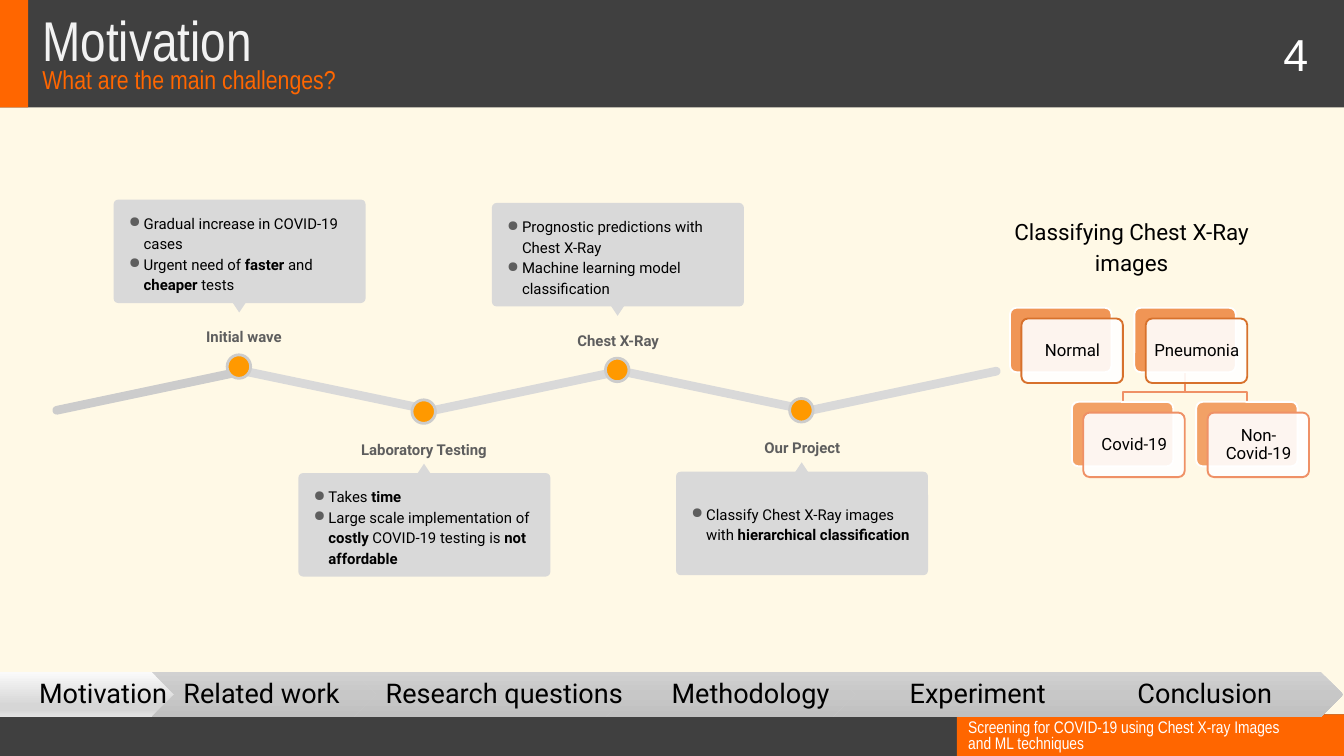
from lxml import etree
from pptx import Presentation
from pptx.dml.color import RGBColor
from pptx.enum.shapes import MSO_SHAPE
from pptx.enum.text import MSO_ANCHOR, MSO_AUTO_SIZE, PP_ALIGN
from pptx.oxml.ns import qn
from pptx.util import Inches, Pt

RECT, ROUND = MSO_SHAPE.RECTANGLE, MSO_SHAPE.ROUNDED_RECTANGLE
OVAL, TRIANGLE = MSO_SHAPE.OVAL, MSO_SHAPE.ISOSCELES_TRIANGLE
PENTAGON, CHEVRON = MSO_SHAPE.PENTAGON, MSO_SHAPE.CHEVRON
LEFT, CENTER = PP_ALIGN.LEFT, PP_ALIGN.CENTER
TOP, MIDDLE = MSO_ANCHOR.TOP, MSO_ANCHOR.MIDDLE

COLORS = {
    "cream": "FFF9E6", "dark": "404040", "orange": "FF6600", "title": "F2F2F2",
    "white": "FFFFFF", "black": "000000", "label": "5E5E5E", "card": "D9D9D9",
    "rod": "CCCCCC", "dot": "FF9900", "node": "ED7D31", "parent": "D7712C",
    "child": "EF9166",
}
ACTIVE_STOPS = [(0, "FAFAFA"), (74, "D6D6D6"), (83, "D6D6D6"), (100, "E3E3E3")]
STEP_STOPS = [(0, "D1D1D1"), (50, "C7C7C7"), (100, "C0C0C0")]

STEPS = [
    ("Motivation", -0.51, 3.62, 0, 2.94, CENTER),
    ("Related work", 2.26, 4.22, 2.6, 3.55, LEFT),
    ("Research questions", 5.27, 4.22, 5.61, 3.89, LEFT),
    ("Methodology", 9.02, 4.22, 9.35, 3.55, CENTER),
    ("Experiment", 12.4, 4.22, 12.73, 3.55, CENTER),
    ("Conclusion", 15.77, 4.22, 16.11, 3.55, CENTER),
]
MILESTONES = [
    ("Initial wave", 3.56, 3.63, 2.97, True, TOP,
     ["Gradual increase in COVID-19 cases",
      "Urgent need of **faster** and **cheaper** tests"]),
    ("Laboratory Testing", 6.31, 6.31, 7.04, False, TOP,
     ["Takes **time**",
      "Large scale implementation of **costly** COVID-19 testing is **not affordable**"]),
    ("Chest X-Ray", 9.19, 9.2, 3.02, True, TOP,
     ["Prognostic predictions with Chest X-Ray",
      "Machine learning model classification"]),
    ("Our Project", 11.93, 11.94, 7.02, False, MIDDLE,
     ["Classify Chest X-Ray images with **hierarchical classification**"]),
]
NODES = [
    ("Normal", 15.03, 4.58, 80, "parent"),
    ("Pneumonia", 16.88, 4.58, 80, "parent"),
    ("Covid-19", 15.95, 5.98, 70, "child"),
    ("Non-Covid-19", 17.8, 5.98, 70, "child"),
]


def rgb(name):
    return RGBColor.from_string(COLORS[name])


def add_box(shapes, kind, x, y, w, h, fill=None, line=None, width=2,
            adj=None, rotation=0, alpha=None):
    sp = shapes.add_shape(kind, Inches(x), Inches(y), Inches(w), Inches(h))
    sp.shadow.inherit = False
    sp.rotation = rotation
    if adj is not None:
        sp.adjustments[0] = adj
    if fill:
        sp.fill.solid()
        sp.fill.fore_color.rgb = rgb(fill)
    if alpha:
        clr = sp._element.spPr.find(f"{qn('a:solidFill')}/{qn('a:srgbClr')}")
        etree.SubElement(clr, qn("a:alpha"), val=str(alpha * 1000))
    if line:
        sp.line.color.rgb = rgb(line)
        sp.line.width = Pt(width)
    else:
        sp.line.fill.background()
    return sp


def set_gradient(sp, stops):
    sp.fill.gradient()
    grad = sp._element.spPr.find(qn("a:gradFill"))
    for child in list(grad):
        grad.remove(child)
    gs_list = etree.SubElement(grad, qn("a:gsLst"))
    for pos, color in stops:
        gs = etree.SubElement(gs_list, qn("a:gs"), pos=str(pos * 1000))
        etree.SubElement(gs, qn("a:srgbClr"), val=color)
    etree.SubElement(grad, qn("a:lin"), ang="5400000", scaled="0")


def set_bullet(p):
    pPr = p._p.get_or_add_pPr()
    pPr.set("marL", str(Inches(0.26)))
    pPr.set("indent", str(Inches(-0.22)))
    clr = etree.SubElement(pPr, qn("a:buClr"))
    etree.SubElement(clr, qn("a:srgbClr"), val=COLORS["label"])
    etree.SubElement(pPr, qn("a:buChar"), char="●")


def write_text(sp, lines, size=16, font="Roboto", color="black", bold=False,
               align=LEFT, anchor=TOP, spacing=1.0, insets=(0.1, 0.05, 0.1, 0.05),
               bullets=False, wrap=True):
    tf = sp.text_frame
    tf.word_wrap = wrap
    tf.auto_size = MSO_AUTO_SIZE.NONE
    tf.vertical_anchor = anchor
    tf.margin_left, tf.margin_top, tf.margin_right, tf.margin_bottom = map(Inches, insets)
    for i, line in enumerate(lines):
        p = tf.add_paragraph() if i else tf.paragraphs[0]
        p.alignment = align
        p.line_spacing = spacing
        p.space_before = Pt(0)
        if bullets:
            set_bullet(p)
        for j, part in enumerate(line.split("**")):
            if part:
                r = p.add_run()
                r.text = part
                r.font.name = font
                r.font.size = Pt(size)
                r.font.bold = bold or j % 2 == 1
                r.font.color.rgb = rgb(color)


def add_text(shapes, text, x, y, w, h, **fmt):
    sp = shapes.add_textbox(Inches(x), Inches(y), Inches(w), Inches(h))
    write_text(sp, [text] if isinstance(text, str) else text, **fmt)


def fill_placeholder(sp, text, x, y, w, h, **fmt):
    sp.left, sp.top, sp.width, sp.height = map(Inches, (x, y, w, h))
    write_text(sp, [text], font="Arial Narrow", **fmt)
    sp._element.getparent().append(sp._element)


def add_frame(s):
    add_box(s.shapes, RECT, 0, 10.63, 20, 0.62, "dark")
    add_box(s.shapes, RECT, 14.24, 10.63, 5.76, 0.62, "orange")
    add_box(s.shapes, RECT, 0, 0, 20, 1.6, "dark")
    add_box(s.shapes, RECT, 0, 0, 0.42, 1.6, "orange")
    title, subtitle = s.placeholders
    fill_placeholder(title, "Motivation", 0.53, 0.14, 19.3, 0.84,
                     size=60, color="title", spacing=0.9)
    fill_placeholder(subtitle, "What are the main challenges?", 0.53, 0.99, 19.3, 0.49,
                     size=27.8, color="orange", spacing=0.8)
    add_text(s.shapes, "Screening for COVID-19 using Chest X-ray Images and ML techniques",
             14.31, 10.67, 4.94, 0.59, size=18, font="Arial Narrow", color="white", spacing=0.8)
    add_text(s.shapes, "4", 19, 0.35, 0.58, 0.91, size=48, font="Arial",
             color="white", wrap=False)


def add_steps(shapes):
    for i, (name, x, w, text_x, text_w, align) in enumerate(STEPS):
        sp = add_box(shapes, CHEVRON if i else PENTAGON, x, 10, w, 0.67, adj=0.5)
        set_gradient(sp, STEP_STOPS if i else ACTIVE_STOPS)
        add_text(shapes, name, text_x, 10, text_w, 0.67, size=29, align=align,
                 anchor=MIDDLE, spacing=0.9,
                 insets=(0.13 if i else 0.17, 0.08, 0.04, 0.08))


def add_rods(shapes):
    for i in range(5):
        add_box(shapes, ROUND, 0.75 + 2.805 * i, 5.75, 2.95, 0.13,
                "card" if i else "rod", adj=0.5, rotation=11.8 if i % 2 else 348.1)


def add_milestone(shapes, label, x, label_x, y, above, anchor, lines):
    dot_y, label_y, tip_y = (2.31, 1.67, 1.53) if above else (-1.09, -0.73, -0.14)
    add_box(shapes, OVAL, x - 0.18, y + dot_y, 0.35, 0.35, "dot", "rod", 3)
    add_text(shapes, label, label_x - 1.2, y + label_y, 2.4, 0.6, color="label",
             bold=True, align=CENTER, spacing=1.15, insets=(0.2,) * 4)
    add_box(shapes, ROUND, x - 1.87, y, 3.75, 1.54, "card", adj=0.045)
    add_box(shapes, TRIANGLE, x - 0.1, y + tip_y, 0.2, 0.15, "card",
            rotation=180 if above else 0)
    add_text(shapes, lines, x - 1.78, y + 0.08, 3.55, 1.37, anchor=anchor,
             spacing=1.15, insets=(0.1,) * 4, bullets=True)


def add_branch(shapes, x, y, end_x, end_y):
    bend_y = y + 0.3
    fb = shapes.build_freeform(Inches(x), Inches(y))
    fb.add_line_segments([(Inches(a), Inches(b)) for a, b in
                          ((x, bend_y), (end_x, bend_y), (end_x, end_y))], close=False)
    sp = fb.convert_to_shape()
    sp.shadow.inherit = False
    sp.fill.background()
    sp.line.color.rgb = rgb("child")
    sp.line.width = Pt(2)


def add_node(shapes, name, x, y, alpha, line):
    add_box(shapes, ROUND, x, y, 1.51, 0.96, "node", "white", adj=0.1, alpha=alpha)
    add_box(shapes, ROUND, x + 0.17, y + 0.16, 1.51, 0.96, "white", line, adj=0.1, alpha=90)
    add_text(shapes, name, x + 0.2, y + 0.19, 1.46, 0.9, size=18, align=CENTER,
             anchor=MIDDLE, spacing=0.9, insets=(0.07,) * 4)


def main():
    prs = Presentation()
    prs.slide_width, prs.slide_height = Inches(20), Inches(11.25)
    s = prs.slides.add_slide(prs.slide_layouts[0])
    s.background.fill.solid()
    s.background.fill.fore_color.rgb = rgb("cream")
    add_frame(s)
    add_steps(s.shapes.add_group_shape().shapes)
    add_rods(s.shapes)
    for milestone in MILESTONES:
        add_milestone(s.shapes.add_group_shape().shapes, *milestone)
    add_text(s.shapes, "Classifying Chest X-Ray images", 14.46, 2.99, 4.76, 1.31,
             size=24, align=CENTER, spacing=1.15, insets=(0.2,) * 4)
    tree = s.shapes.add_group_shape().shapes
    for end_x in (18.56, 16.71):
        add_branch(tree, 17.63, 5.54, end_x, 5.98)
    for node in NODES:
        add_node(tree, *node)
    prs.save("out.pptx")


if __name__ == "__main__":
    main()
